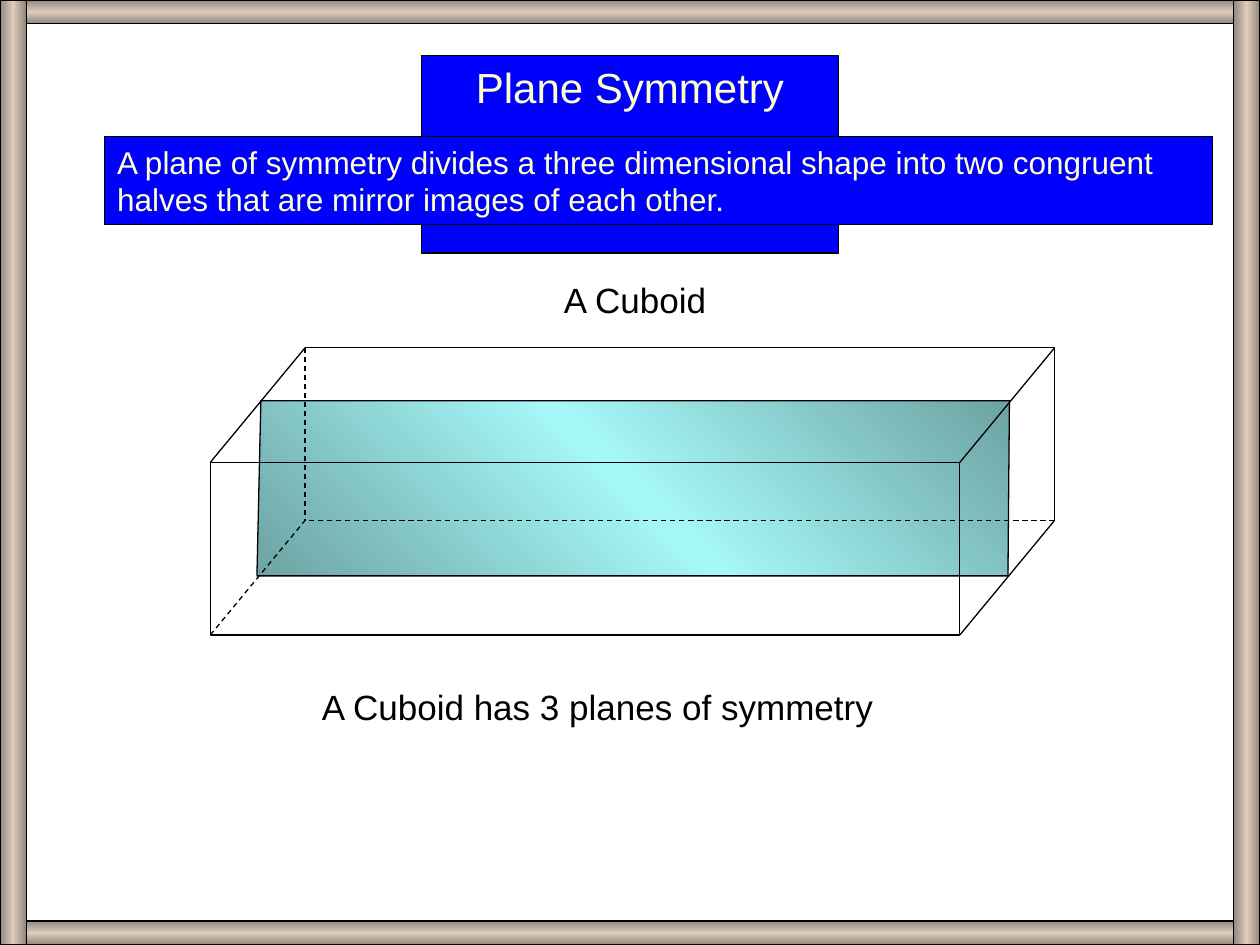
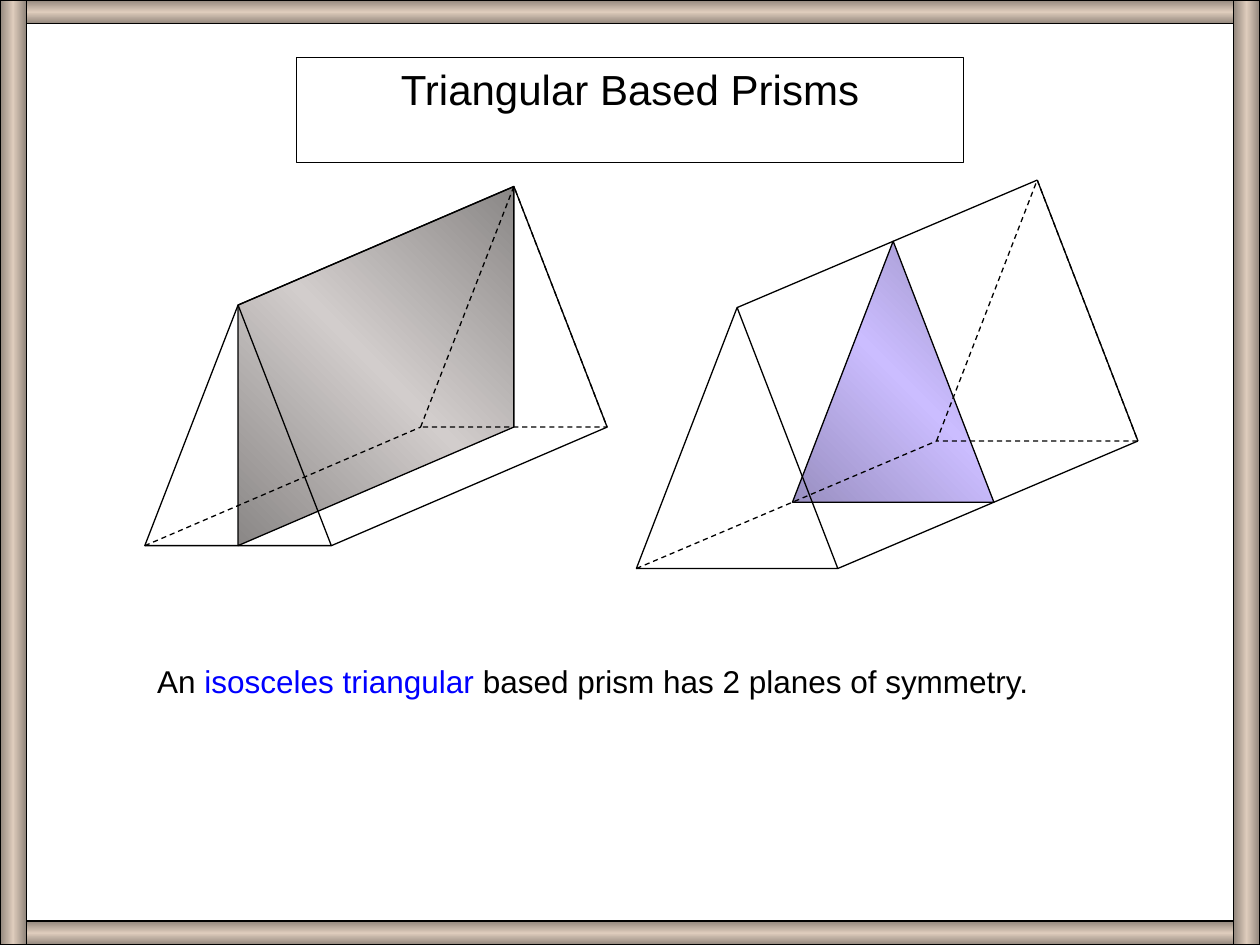
from copy import deepcopy
from dataclasses import dataclass

from pptx import Presentation
from pptx.dml.color import RGBColor
from pptx.enum.dml import MSO_LINE
from pptx.enum.shapes import MSO_CONNECTOR, MSO_SHAPE
from pptx.enum.text import MSO_ANCHOR, MSO_AUTO_SIZE, PP_ALIGN
from pptx.oxml.ns import qn
from pptx.util import Cm, Pt

WIDTH, HEIGHT = 25.4, 19.05
TITLE_ONLY = 5


@dataclass(frozen=True)
class Theme:
    font: str = "Arial"
    title_size: int = 24
    caption_size: int = 20
    body_size: int = 18
    line_width: float = 0.75
    ink: str = "000000"
    blue: str = "0000FF"
    cream: str = "FFFFCC"
    frame: tuple = ("92867C", "DECCBC")
    teal: tuple = ("6DA3A3", "A6F8F8")
    grey: tuple = ("8A8786", "D2CDCC")
    violet: tuple = ("998FC1", "CBBDFF")


THEME = Theme()


def color(code):
    return RGBColor.from_string(code)


def lengths(*values):
    return [Cm(value) for value in values]


def outline(element, dashed=False):
    element.line.color.rgb = color(THEME.ink)
    element.line.width = Pt(THEME.line_width)
    if dashed:
        element.line.dash_style = MSO_LINE.DASH


def paint(element, fill_color):
    if fill_color:
        element.fill.solid()
        element.fill.fore_color.rgb = color(fill_color)
    else:
        element.fill.background()


def sheen(element, shades, clockwise_angle):
    edge, middle = shades
    element.fill.gradient()
    element.fill.gradient_angle = 360 - clockwise_angle
    stops = element.fill._xPr.find(qn("a:gradFill")).find(qn("a:gsLst"))
    stops.append(deepcopy(stops[0]))
    for stop, position, shade in zip(element.fill.gradient_stops, (0, 0.5, 1), (edge, middle, edge)):
        stop.position = position
        stop.color.rgb = color(shade)


def add_preset(shapes, preset, box, dashed=False, fill_color=None):
    preset_shape = shapes.add_shape(preset, *lengths(*box))
    preset_shape.shadow.inherit = False
    paint(preset_shape, fill_color)
    outline(preset_shape, dashed)
    return preset_shape


def add_edge(shapes, start, end, dashed=False):
    edge = shapes.add_connector(MSO_CONNECTOR.STRAIGHT, *lengths(*start, *end))
    outline(edge, dashed)
    properties = edge._element.spPr
    properties.append(properties.makeelement(qn("a:effectLst"), {}))


def add_plane(shapes, corners, shades):
    points = [lengths(*corner) for corner in corners]
    builder = shapes.build_freeform(*points[0], scale=1.0)
    builder.add_line_segments(points[1:], close=True)
    plane = builder.convert_to_shape()
    plane.shadow.inherit = False
    sheen(plane, shades, 135)
    outline(plane)


def write(holder, runs, size, align=PP_ALIGN.LEFT):
    frame = holder.text_frame
    frame.word_wrap = True
    frame.auto_size = MSO_AUTO_SIZE.SHAPE_TO_FIT_TEXT
    frame.vertical_anchor = MSO_ANCHOR.TOP
    paragraph = frame.paragraphs[0]
    paragraph.alignment = align
    paragraph.font.name = THEME.font
    paragraph.font.size = Pt(size)
    for words, ink in runs:
        run = paragraph.add_run()
        run.text = words
        run.font.color.rgb = color(ink)


def add_caption(slide, box, runs, size):
    write(slide.shapes.add_textbox(*lengths(*box)), runs, size)


def set_title(slide, words, box, ink, fill_color=None):
    title = slide.shapes.title
    title.left, title.top, title.width, title.height = lengths(*box)
    paint(title, fill_color)
    outline(title)
    write(title, [(words, ink)], THEME.title_size, PP_ALIGN.CENTER)


def add_frame(slide):
    rail, post = 0.48, 0.53
    bars = [
        ((0, 0, WIDTH, rail), 90),
        ((0, HEIGHT - rail, WIDTH, rail), 90),
        ((0, 0, post, HEIGHT), 180),
        ((WIDTH - post, 0, post, HEIGHT), 180),
    ]
    for box, angle in bars:
        sheen(add_preset(slide.shapes, MSO_SHAPE.RECTANGLE, box), THEME.frame, angle)


def add_cuboid(slide, front, depth):
    shapes = slide.shapes.add_group_shape().shapes
    left, top, width, height = front
    right, bottom = left + width, top + height
    corners = [(left, top), (right, top), (right, bottom), (left, bottom)]
    back = [shifted(corner, depth) for corner in corners]
    back_top_left, back_top_right, back_bottom_right, back_bottom_left = back
    add_preset(shapes, MSO_SHAPE.RECTANGLE, front)
    for near, far in zip(corners, back):
        add_edge(shapes, near, far, dashed=far == back_bottom_left)
    add_edge(shapes, back_top_left, back_top_right)
    add_edge(shapes, back_top_right, back_bottom_right)
    add_edge(shapes, back_bottom_right, back_bottom_left, dashed=True)
    add_edge(shapes, back_top_left, back_bottom_left, dashed=True)


def shifted(point, depth, share=1):
    return tuple(start + share * step for start, step in zip(point, depth))


def triangle_corners(box):
    left, top, width, height = box
    return (left + width / 2, top), (left + width, top + height), (left, top + height)


def lengthwise_plane(front, depth):
    apex, right, left = triangle_corners(front)
    base_middle = ((left[0] + right[0]) / 2, left[1])
    return [apex, base_middle, shifted(base_middle, depth), shifted(apex, depth)]


def cross_plane(front, depth):
    return [shifted(corner, depth, 0.52) for corner in triangle_corners(front)]


def add_prism(slide, front, depth, plane_corners, shades):
    shapes = slide.shapes.add_group_shape().shapes
    apex, right, left = triangle_corners(front)
    add_plane(shapes, plane_corners(front, depth), shades)
    add_preset(shapes, MSO_SHAPE.ISOSCELES_TRIANGLE, front)
    back = (*shifted(front[:2], depth), *front[2:])
    add_preset(shapes, MSO_SHAPE.ISOSCELES_TRIANGLE, back, dashed=True)
    for corner in (apex, right, left):
        add_edge(shapes, corner, shifted(corner, depth), dashed=corner == left)
    add_edge(shapes, shifted(apex, depth), shifted(right, depth))


def build_cuboid_slide(slide):
    set_title(slide, "Plane Symmetry", (8.5, 1.12, 8.4, 1.28), THEME.cream, THEME.blue)
    add_plane(
        slide.shapes,
        [(20.32, 11.61), (20.35, 8.08), (5.26, 8.08), (5.18, 11.61)],
        THEME.teal,
    )
    add_frame(slide)
    definition = add_preset(
        slide.shapes, MSO_SHAPE.RECTANGLE, (2.11, 2.75, 22.33, 1.78), fill_color=THEME.blue
    )
    sentence = (
        "A plane of symmetry divides a three dimensional shape into two congruent "
        "halves that are mirror images of each other."
    )
    write(definition, [(sentence, THEME.cream)], THEME.body_size)
    add_caption(slide, (11.12, 5.49, 3.61, 1.11), [("A Cuboid", THEME.ink)], THEME.caption_size)
    add_caption(
        slide,
        (6.24, 13.7, 12.85, 1.11),
        [("A Cuboid has 3 planes of symmetry", THEME.ink)],
        THEME.caption_size,
    )
    add_cuboid(slide, (4.24, 9.32, 15.11, 3.48), (1.91, -2.31))


def build_prism_slide(slide):
    set_title(slide, "Triangular Based Prisms", (5.98, 1.16, 13.44, 1.28), THEME.ink)
    add_prism(slide, (2.92, 6.15, 3.76, 4.85), (5.56, -2.39), lengthwise_plane, THEME.grey)
    add_caption(
        slide,
        (2.92, 13.23, 19.79, 1.02),
        [
            ("An ", THEME.ink),
            ("isosceles triangular", THEME.blue),
            (" based prism has 2 planes of symmetry.", THEME.ink),
        ],
        THEME.body_size,
    )
    add_frame(slide)
    add_prism(slide, (12.83, 6.2, 4.06, 5.26), (6.05, -2.57), cross_plane, THEME.violet)


def main():
    deck = Presentation()
    deck.slide_width, deck.slide_height = lengths(WIDTH, HEIGHT)
    for build in (build_cuboid_slide, build_prism_slide):
        build(deck.slides.add_slide(deck.slide_layouts[TITLE_ONLY]))
    deck.save("out.pptx")


if __name__ == "__main__":
    main()
